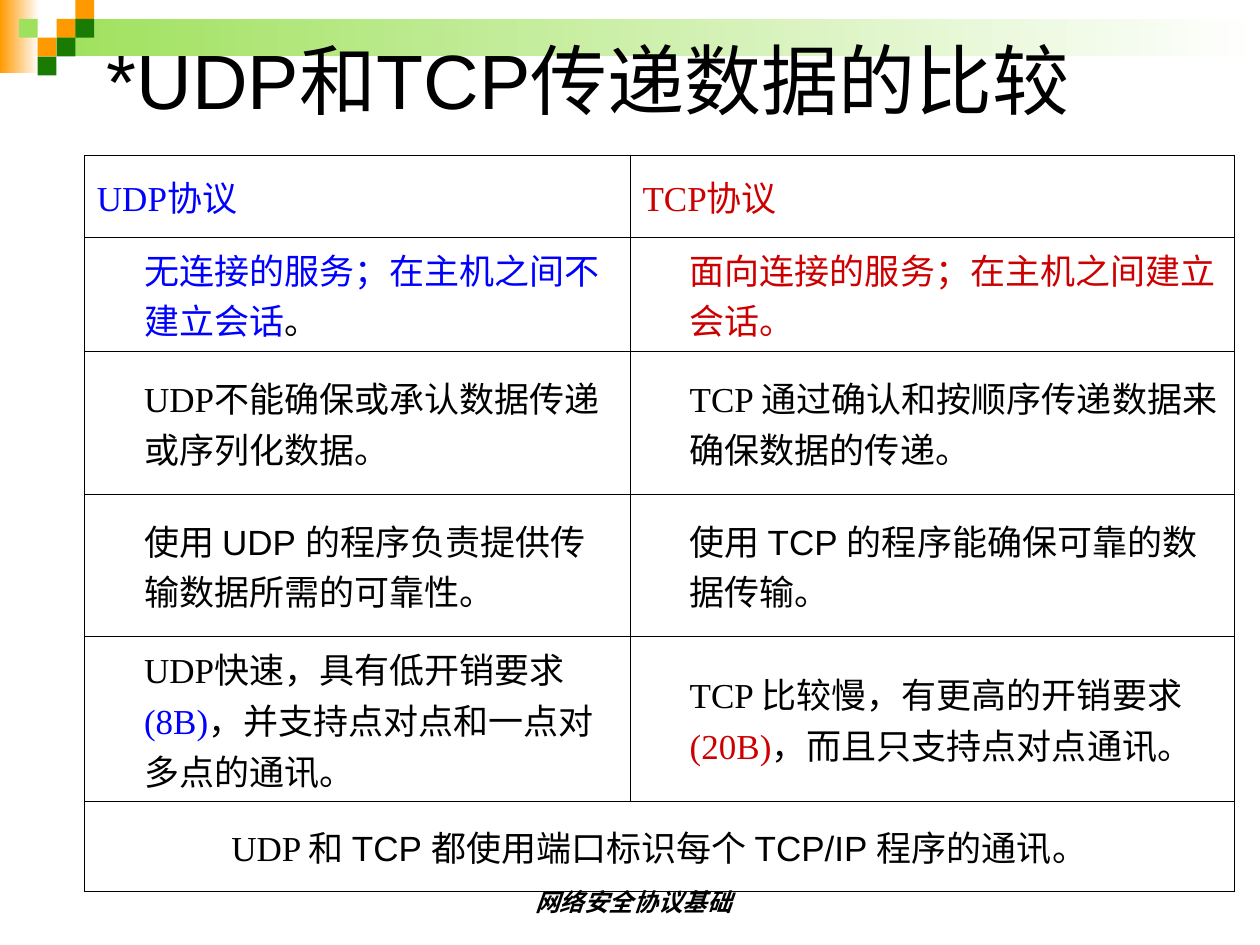
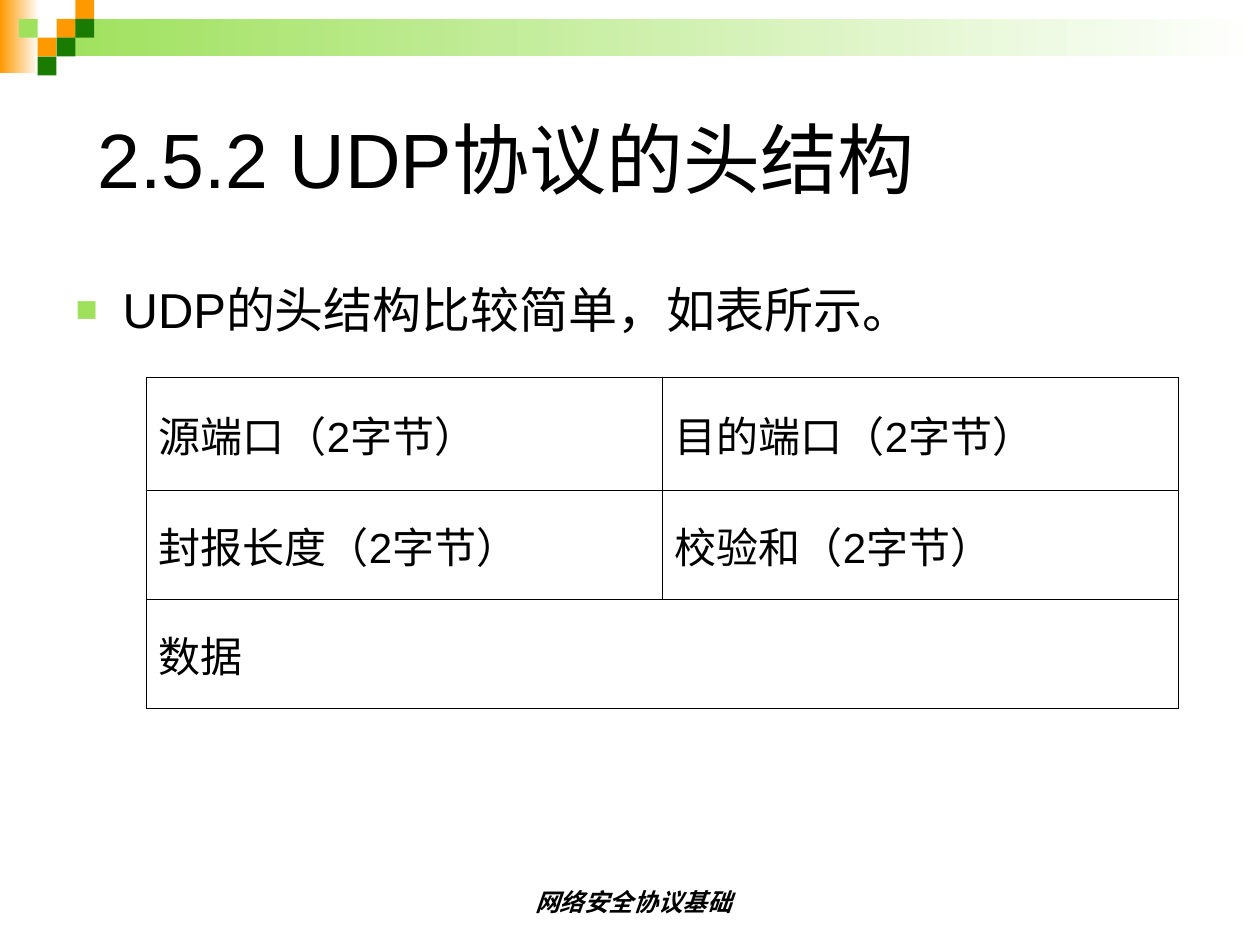
from pptx import Presentation
from pptx import util as u
from pptx.dml.color import RGBColor
from pptx.enum import shapes, text
from pptx.oxml import parse_xml
from pptx.oxml.ns import nsdecls

# Shared style
BLACK = RGBColor(0x00, 0x00, 0x00)
WHITE = RGBColor(0xFF, 0xFF, 0xFF)
ORANGE = RGBColor(0xFF, 0x99, 0x00)
LIGHT_GREEN = RGBColor(0x9F, 0xE1, 0x5D)
DARK_GREEN = RGBColor(0x1A, 0x7B, 0x03)
BLUE = RGBColor(0x00, 0x00, 0xFF)
RED = RGBColor(0xCC, 0x00, 0x00)

SANS = "Arial"
SERIF = "Times New Roman"
TITLE_ONLY, TITLE_AND_BODY = 5, 1
TILE = 0.38
TILES = [  # column, row, colour
    (3, 1, ORANGE), (4, 0, ORANGE), (4, 1, DARK_GREEN), (2, 2, ORANGE),
    (1, 1, LIGHT_GREEN), (3, 2, DARK_GREEN), (2, 3, DARK_GREEN),
]
INDENT = u.Cm(0.95)
FOOTER = "网络安全协议基础"


def set_font(font, size, name=SANS, colour=BLACK):
    font.size = u.Pt(size)
    font.name = name
    font.color.rgb = colour


def set_indent(paragraph, hanging):
    properties = paragraph._p.get_or_add_pPr()
    properties.set("marL", str(INDENT))
    properties.set("indent", str(-INDENT if hanging else 0))
    return properties


def sans(words):
    return words, {"name": SANS}


def coloured(words, colour):
    return words, {"colour": colour}


class Deck:
    """Holds the shared style and the slide being built."""

    def __init__(self):
        self.presentation = Presentation()
        self.presentation.slide_width = u.Cm(25.4)
        self.presentation.slide_height = u.Cm(19.05)
        self.slide = None

    def add_slide(self, layout):
        layouts = self.presentation.slide_layouts
        self.slide = self.presentation.slides.add_slide(layouts[layout])
        self.add_decoration()
        self.add_footer()

    def add_decoration(self):
        group = self.slide.shapes.add_group_shape()

        def add_block(left, top, width, height, colour, fades=False):
            block = group.shapes.add_shape(
                shapes.MSO_SHAPE.RECTANGLE, *map(u.Cm, (left, top, width, height)))
            block.shadow.inherit = False
            block.line.fill.background()
            if fades:
                block.fill.gradient()
                block.fill.gradient_angle = 0
                for stop, shade in zip(block.fill.gradient_stops, (colour, WHITE)):
                    stop.color.rgb = shade
            else:
                block.fill.solid()
                block.fill.fore_color.rgb = colour

        add_block(0, 0, 0.79, 1.47, ORANGE, fades=True)
        add_block(3 * TILE, TILE, 24.26, 2 * TILE, LIGHT_GREEN, fades=True)
        for column, row, colour in TILES:
            add_block(column * TILE, row * TILE, TILE, TILE, colour)
        # The decoration lies behind the title
        self.slide.shapes._spTree.insert(2, group._element)

    def add_footer(self):
        box = self.slide.shapes.add_textbox(*map(u.Cm, (8.75, 17.32, 8.05, 1.27)))
        frame = box.text_frame
        frame.word_wrap = True
        frame.vertical_anchor = text.MSO_ANCHOR.BOTTOM
        paragraph = frame.paragraphs[0]
        paragraph.text = FOOTER
        paragraph.alignment = text.PP_ALIGN.CENTER
        set_font(paragraph.font, 14)
        paragraph.font.bold = paragraph.font.italic = True

    def fill_placeholder(self, shape, words, place, size, anchor):
        shape.left, shape.top, shape.width, shape.height = map(u.Cm, place)
        frame = shape.text_frame
        frame.auto_size = text.MSO_AUTO_SIZE.NONE
        frame.vertical_anchor = anchor
        paragraph = frame.paragraphs[0]
        paragraph.text = words
        paragraph.alignment = text.PP_ALIGN.LEFT
        set_font(paragraph.font, size)
        return paragraph

    def add_title(self, words, place):
        self.fill_placeholder(self.slide.shapes.title, words, place, 44,
                              text.MSO_ANCHOR.MIDDLE)

    def add_bullet(self, words, place):
        paragraph = self.fill_placeholder(self.slide.placeholders[1], words, place, 28,
                                          text.MSO_ANCHOR.TOP)
        properties = set_indent(paragraph, hanging=True)
        paragraph.space_before = u.Pt(7)
        font_properties = properties.find("{*}defRPr")
        for tag in (f'buClr {nsdecls("a")}><a:srgbClr val="{LIGHT_GREEN}"/></a:buClr',
                    f'buSzPct {nsdecls("a")} val="75000"/',
                    f'buFont {nsdecls("a")} typeface="{SANS}"/',
                    f'buChar {nsdecls("a")} char="■"/'):
            font_properties.addprevious(parse_xml(f"<a:{tag}>"))

    def add_table(self, rows, place, widths, heights, size, hanging, centred=()):
        """A row is a list of cells, a cell a list of runs; a lone cell spans its row."""
        table = self.slide.shapes.add_table(
            len(rows), len(widths), *map(u.Cm, place),
            u.Cm(sum(widths)), u.Cm(sum(heights))).table
        table.first_row = table.horz_banding = False
        for column, width in zip(table.columns, widths):
            column.width = u.Cm(width)
        for row, height in zip(table.rows, heights):
            row.height = u.Cm(height)
        for cell in table.iter_cells():
            cell.fill.background()
            self.add_borders(cell)
        for index, cells in enumerate(rows):
            if len(cells) == 1:
                table.cell(index, 0).merge(table.cell(index, len(widths) - 1))
            for column, runs in enumerate(cells):
                cell = table.cell(index, column)
                cell.vertical_anchor = text.MSO_ANCHOR.MIDDLE
                paragraph = cell.text_frame.paragraphs[0]
                set_indent(paragraph, index in hanging)
                if index in centred:
                    paragraph.alignment = text.PP_ALIGN.CENTER
                self.add_runs(paragraph, runs, size)

    @staticmethod
    def add_runs(paragraph, runs, size):
        for item in runs:
            words, style = (item, {}) if isinstance(item, str) else item
            run = paragraph.add_run()
            run.text = words
            set_font(run.font, size, **{"name": SERIF, **style})

    @staticmethod
    def add_borders(cell):
        properties = cell._tc.get_or_add_tcPr()
        for position, side in enumerate("LRTB"):
            properties.insert(position, parse_xml(
                f'<a:ln{side} {nsdecls("a")} w="{u.Pt(0.45)}"><a:solidFill>'
                f'<a:srgbClr val="{BLACK}"/></a:solidFill></a:ln{side}>'))


# Slide 1: comparison of the two protocols
def build_comparison(deck):
    deck.add_slide(TITLE_ONLY)
    deck.add_title("*UDP和TCP传递数据的比较", (1.9, 0.53, 21.6, 2.1))
    rows = [
        [[coloured("UDP协议", BLUE)], [coloured("TCP协议", RED)]],
        [[coloured("无连接的服务；在主机之间不建立会话", BLUE), "。"],
         [coloured("面向连接的服务；在主机之间建立会话。", RED)]],
        [["UDP不能确保或承认数据传递或序列化数据。"],
         ["TCP 通过确认和按顺序传递数据来确保数据的传递。"]],
        [["使用 ", sans("UDP "), "的程序负责提供传输数据所需的可靠性。"],
         ["使用 ", sans("TCP "), "的程序能确保可靠的数据传输。"]],
        [["UDP快速，具有低开销要求", coloured("(8B)", BLUE),
          "，并支持点对点和一点对多点的通讯。"],
         ["TCP 比较慢，有更高的开销要求", coloured("(20B)", RED),
          "，而且只支持点对点通讯。"]],
        [["UDP 和 ", sans("TCP "), "都使用端口标识每个 ", sans("TCP/IP "),
          "程序的通讯。"]],
    ]
    deck.add_table(rows, (1.7, 3.13), widths=(11, 12.18),
                   heights=(1.65, 2.3, 2.88, 2.87, 3.33, 1.8),
                   size=20, hanging=(0, 5), centred=(5,))


# Slide 2: header fields
def build_header_structure(deck):
    deck.add_slide(TITLE_AND_BODY)
    deck.add_title("2.5.2 UDP协议的头结构", (1.71, 2.16, 22.43, 2.03))
    deck.add_bullet("UDP的头结构比较简单，如表所示。", (1.27, 5.51, 19.69, 1.73))

    def two_byte_field(name):
        return [f"{name}（", sans("2"), "字节）"]

    rows = [
        [two_byte_field("源端口"), two_byte_field("目的端口")],
        [two_byte_field("封报长度"), two_byte_field("校验和")],
        [["数据"]],
    ]
    deck.add_table(rows, (2.95, 7.6), widths=(10.4, 10.4),
                   heights=(2.29, 2.2, 2.19), size=24, hanging=(0, 1, 2))


def main():
    deck = Deck()
    build_comparison(deck)
    build_header_structure(deck)
    deck.presentation.save("out.pptx")


if __name__ == "__main__":
    main()
